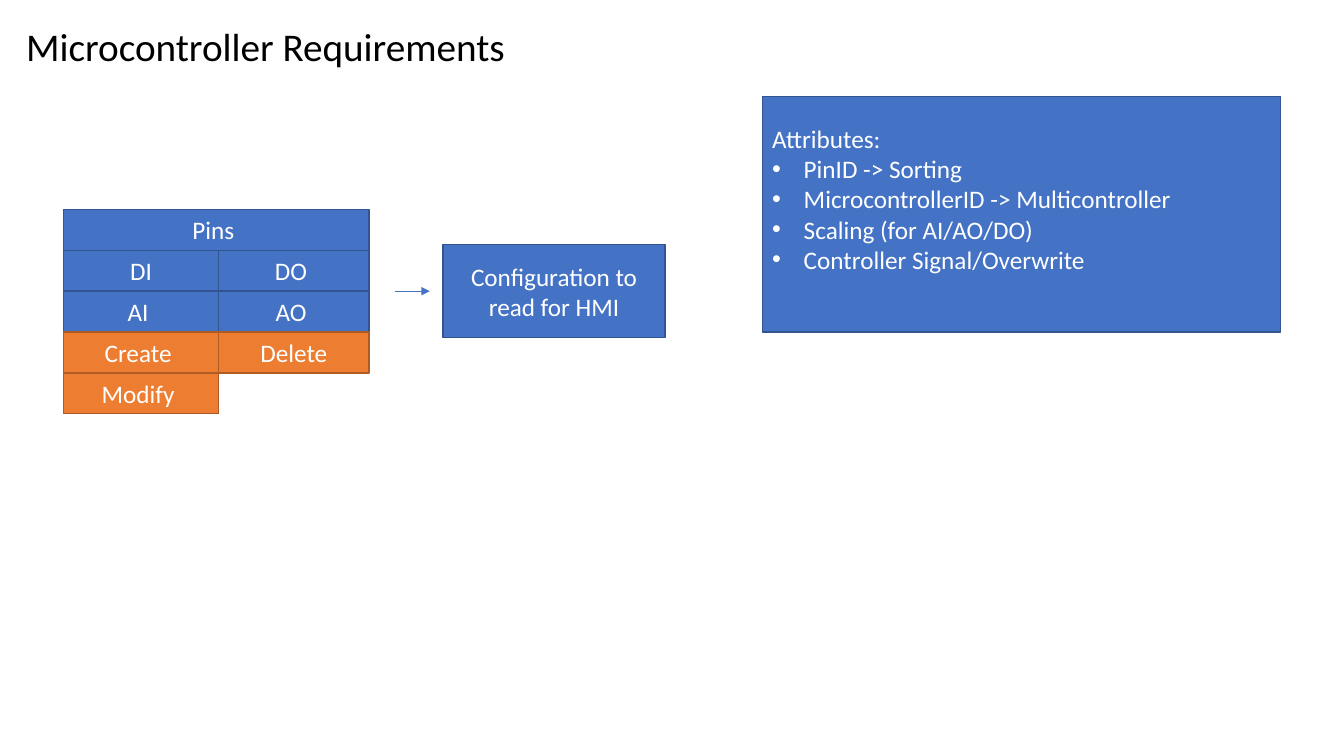
from pptx import Presentation
from pptx.dml.color import RGBColor
from pptx.enum.shapes import MSO_CONNECTOR as Connector, MSO_SHAPE as Shape
from pptx.enum.text import MSO_ANCHOR as Anchor, MSO_AUTO_SIZE as AutoSize, PP_ALIGN as Align
from pptx.oxml.ns import qn
from pptx.util import Pt
from lxml.etree import SubElement

BLUE, BLUE_EDGE = "4472C4", "325491"
ORANGE, ORANGE_EDGE = "ED7D31", "AF5C24"
WHITE, BLACK = "FFFFFF", "000000"


def color(value):
    return RGBColor.from_string(value)


def write(para, text, size=18, fill=WHITE, align=Align.CENTER, bullet=None, indent=22.5):
    para.alignment = align
    span = para.add_run()
    span.text = text
    span.font.name = "Calibri"
    span.font.size = Pt(size)
    span.font.color.rgb = color(fill)
    if bullet:
        props = para._p.get_or_add_pPr()
        props.set("marL", str(Pt(indent)))
        props.set("indent", str(-Pt(indent)))
        SubElement(props, qn("a:buFont")).set("typeface", "Arial")
        SubElement(props, qn("a:buChar")).set("char", bullet)


def add_box(page, left, top, width, height, fill=BLUE, edge=BLUE_EDGE):
    """Add a filled rectangle and return its text frame."""
    box = page.shapes.add_shape(Shape.RECTANGLE, Pt(left), Pt(top), Pt(width), Pt(height))
    box.shadow.inherit = False
    box.fill.solid()
    box.fill.fore_color.rgb = color(fill)
    box.line.color.rgb = color(edge)
    box.line.width = Pt(1)
    frame = box.text_frame
    frame.word_wrap = True
    frame.vertical_anchor = Anchor.MIDDLE
    return frame


def add_title(page, left, top, width, height):
    title = page.shapes.title
    title.left, title.top, title.width, title.height = map(Pt, (left, top, width, height))
    frame = title.text_frame
    frame.word_wrap = True
    frame.auto_size = AutoSize.NONE
    frame.vertical_anchor = Anchor.MIDDLE
    para = frame.paragraphs[0]
    para.line_spacing = 0.9
    write(para, "Microcontroller Requirements", size=28, fill=BLACK, align=Align.LEFT)


def add_pins(page, left, top, width, height):
    """Stack the pin class: its name, pin types in blue, actions in orange."""
    rows = [["Pins "], ["DI", "DO "], ["AI ", "AO "], ["Create ", "Delete"], ["Modify "]]
    first_width = 111
    row_height = height / len(rows)
    for index, row in enumerate(rows):
        fill, edge = (BLUE, BLUE_EDGE) if index < 3 else (ORANGE, ORANGE_EDGE)
        for column, label in enumerate(row):
            offset = column * first_width
            cell_width = width - first_width if column else first_width
            if index == 0:
                cell_width = width
            frame = add_box(page, left + offset, top + index * row_height,
                            cell_width, row_height, fill, edge)
            write(frame.paragraphs[0], label)


def add_arrow(page, left, top, length):
    arrow = page.shapes.add_connector(Connector.STRAIGHT, Pt(left), Pt(top),
                                      Pt(left + length), Pt(top))
    arrow.line.color.rgb = color(BLUE)
    arrow.line.width = Pt(0.5)
    SubElement(arrow.line._get_or_add_ln(), qn("a:tailEnd")).set("type", "triangle")
    SubElement(arrow._element.spPr, qn("a:effectLst"))


def add_configuration(page, left, top, width, height):
    frame = add_box(page, left, top, width, height)
    write(frame.paragraphs[0], "Configuration to read for HMI")


def add_attributes(page, left, top, width, height):
    frame = add_box(page, left, top, width, height)
    frame.margin_bottom = Pt(25.6)  # lifts the list by half a line
    write(frame.paragraphs[0], "Attributes:", align=Align.LEFT)
    for item in ("PinID -> Sorting", "MicrocontrollerID -> Multicontroller",
                 "Scaling (for AI/AO/DO)", "Controller Signal/Overwrite"):
        write(frame.add_paragraph(), item, align=Align.LEFT, bullet="•")


def main():
    deck = Presentation()
    deck.slide_width, deck.slide_height = Pt(960), Pt(540)
    page = deck.slides.add_slide(deck.slide_layouts[5])
    add_title(page, 11.5, 10, 828, 50.4)
    add_pins(page, 45.2, 149.6, 218.5, 146)
    add_arrow(page, 282.5, 208, 24.5)
    add_configuration(page, 316.5, 174.8, 158.6, 66.4)
    add_attributes(page, 544.5, 68.8, 370, 168.4)
    deck.save("out.pptx")


if __name__ == "__main__":
    main()
